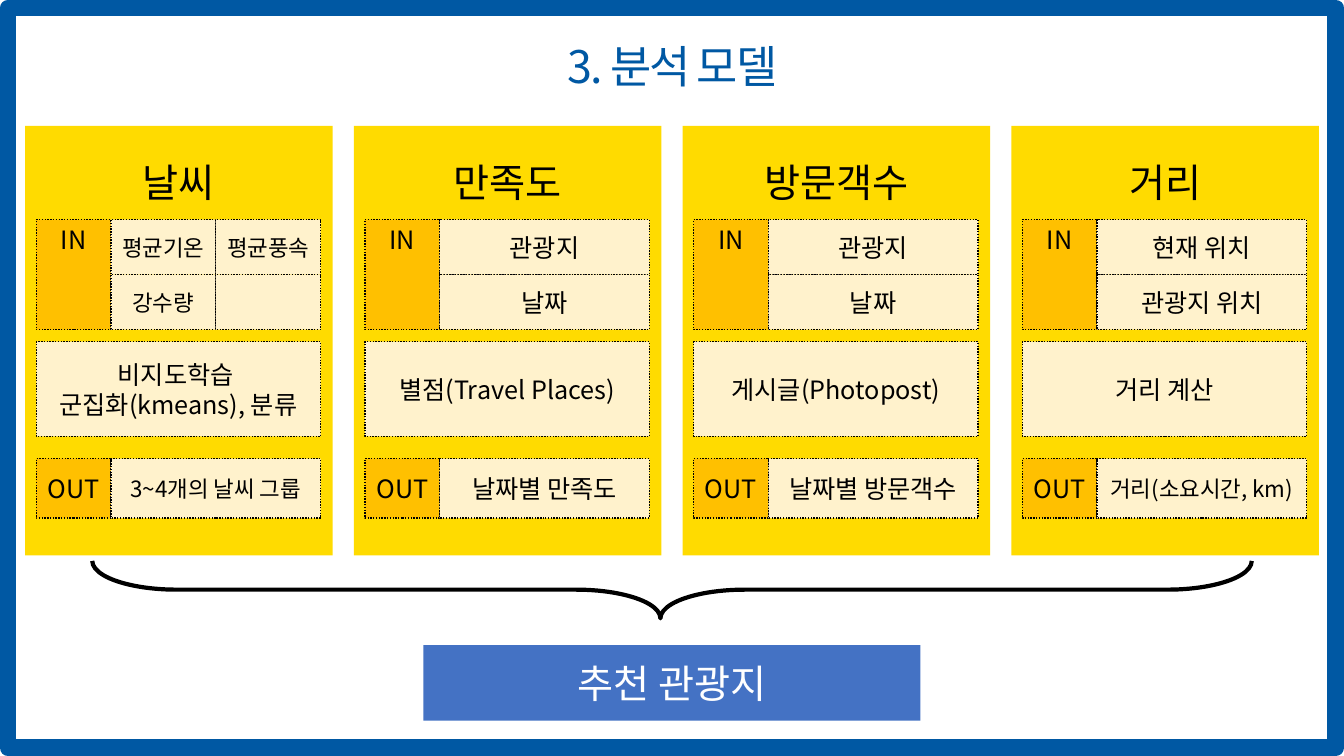
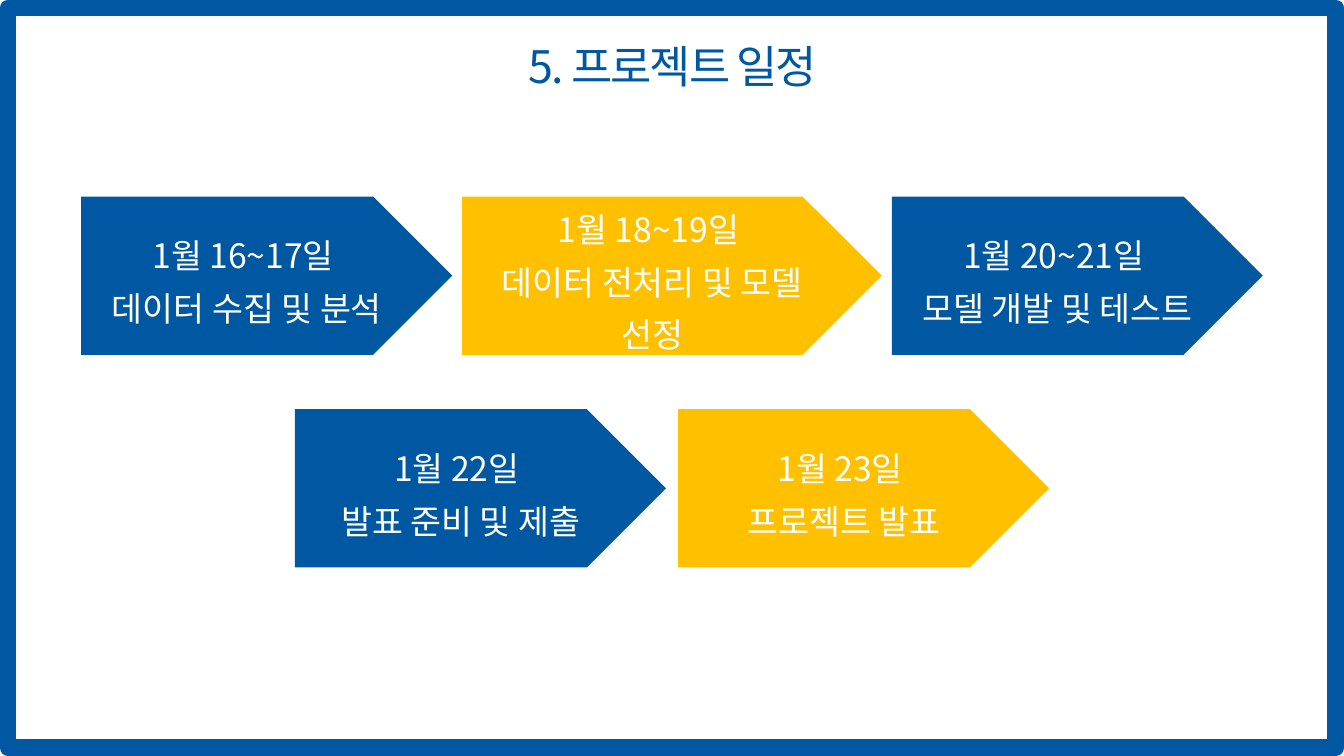
"""Build two slides: the analysis model and the project schedule."""
from lxml import etree
from pptx import Presentation
from pptx import util as u
from pptx.dml.color import RGBColor
from pptx.enum import dml, shapes, text
from pptx.oxml.ns import qn

FONT = "Noto Sans CJK KR"
BLUE = RGBColor(0x00, 0x58, 0xA3)
STEEL = RGBColor(0x44, 0x72, 0xC4)
YELLOW = RGBColor(0xFF, 0xDB, 0x00)
AMBER = RGBColor(0xFF, 0xC0, 0x00)
CREAM = RGBColor(0xFF, 0xF2, 0xCC)
BLACK = RGBColor(0x00, 0x00, 0x00)
WHITE = RGBColor(0xFF, 0xFF, 0xFF)
SHAPE = shapes.MSO_SHAPE
WIDTH, HEIGHT = 13.33, 7.5

MODELS = [
    {"name": "날씨", "inputs": [["평균기온", "평균풍속"], ["강수량", ""]], "input_size": 16,
     "method": ["비지도학습 ", "군집화(kmeans), 분류"],
     "output": "3~4개의 날씨 그룹", "output_size": 16},
    {"name": "만족도", "inputs": [["관광지"], ["날짜"]], "input_size": 18,
     "method": ["별점(Travel Places)"],
     "output": "날짜별 만족도", "output_size": 18},
    {"name": "방문객수", "inputs": [["관광지"], ["날짜"]], "input_size": 18,
     "method": ["게시글(Photopost)"],
     "output": "날짜별 방문객수", "output_size": 18},
    {"name": "거리", "inputs": [["현재 위치"], ["관광지 위치"]], "input_size": 18,
     "method": ["거리 계산"],
     "output": "거리(소요시간, km)", "output_size": 16},
]
SCHEDULE = [
    {"top": 1.95, "gap": 0.1, "steps": [
        (3.68, BLUE, ["1월 16~17일 ", "데이터 수집 및 분석"]),
        (4.16, AMBER, ["1월 18~19일 ", "데이터 전처리 및 모델 선정"]),
        (3.68, BLUE, ["1월 20~21일 ", "모델 개발 및 테스트"])]},
    {"top": 4.06, "gap": 0.12, "steps": [
        (3.68, BLUE, ["1월 22일 ", "발표 준비 및 제출"]),
        (3.68, AMBER, ["1월 23일 ", "프로젝트 발표"])]},
]


def write(shape, lines, size=18, color=BLACK, spacing=None, tracking=None,
          anchor=text.MSO_ANCHOR.MIDDLE):
    """Fill a shape with centred paragraphs."""
    frame = shape.text_frame
    frame.word_wrap = True
    frame.vertical_anchor = anchor
    for index, line in enumerate(lines):
        para = frame.add_paragraph() if index else frame.paragraphs[0]
        para.alignment = text.PP_ALIGN.CENTER
        para.line_spacing = spacing
        span = para.add_run()
        span.text = line
        span.font.name = FONT
        span.font.size = u.Pt(size)
        span.font.color.rgb = color
        props = span.font._element
        etree.SubElement(props, qn("a:ea")).set("typeface", FONT)
        if tracking is not None:
            props.set("spc", str(int(tracking * 100)))


def add_box(slide, left, top, width, height, kind=SHAPE.RECTANGLE, fill=None,
            line=None, weight=1, dash=None, lines=(), **style):
    """Add a preset shape, measured in inches, with optional text."""
    box = slide.shapes.add_shape(kind, *map(u.Inches, (left, top, width, height)))
    box.shadow.inherit = False
    if fill is None:
        box.fill.background()
    else:
        box.fill.solid()
        box.fill.fore_color.rgb = fill
    if line is None:
        box.line.fill.background()
    else:
        box.line.color.rgb = line
        box.line.width = u.Pt(weight)
        box.line.dash_style = dash
    write(box, lines, **style)
    return box


def add_cell(slide, left, top, width, height, lines, fill=CREAM, **style):
    """Add a box with a dotted outline."""
    return add_box(slide, left, top, width, height, fill=fill, line=BLACK,
                   dash=dml.MSO_LINE.ROUND_DOT, lines=lines, **style)


def add_frame(slide):
    """Put the blue border on the layout that the slides share."""
    inset = 0.08
    frame = add_box(slide, inset, inset, WIDTH - 2 * inset, HEIGHT - 2 * inset,
                    line=BLUE, weight=12)
    slide.slide_layout.shapes.element.insert(2, frame.element)


def add_page(deck, title):
    """Add a slide with the shared title style."""
    page = deck.slides.add_slide(deck.slide_layouts[5])
    head = page.shapes.title
    head.left, head.top, head.width, head.height = map(u.Inches, (0.92, 0.39, 11.5, 0.59))
    write(head, [title], size=32, color=BLUE, spacing=0.9, tracking=-1.5)
    return page


def add_model(page, left, model):
    """Draw one model card with its inputs, method and output."""
    label_width, value_width, row_height = 0.74, 2.08, 0.545
    label_left = left + 0.11
    value_left = label_left + label_width
    in_top, method_top, out_top = 2.18, 3.39, 4.55

    add_box(page, left, 1.25, 3.05, 4.26, fill=YELLOW)
    name = page.shapes.add_textbox(*map(u.Inches, (left, 1.52, 3.05, 0.57)))
    write(name, [model["name"]], size=28)
    add_cell(page, label_left, in_top, label_width, 2 * row_height, ["IN"],
             fill=AMBER, anchor=text.MSO_ANCHOR.TOP)
    for row, entries in enumerate(model["inputs"]):
        cell_width = value_width / len(entries)
        for column, entry in enumerate(entries):
            add_cell(page, value_left + column * cell_width, in_top + row * row_height,
                     cell_width, row_height, [entry] if entry else [],
                     size=model["input_size"])
    add_cell(page, label_left, method_top, label_width + value_width, 0.94, model["method"])
    add_cell(page, label_left, out_top, label_width, 0.59, ["OUT"], fill=AMBER)
    add_cell(page, value_left, out_top, value_width, 0.59, [model["output"]],
             size=model["output_size"])


def build_models(page):
    """Draw the four cards that lead to the recommendation."""
    for index, model in enumerate(MODELS):
        add_model(page, 0.25 + index * 3.26, model)
    brace = add_box(page, 6.38, 0.1, 0.57, 11.5, kind=SHAPE.RIGHT_BRACE,
                    line=BLACK, weight=3)
    brace.rotation = 90
    brace.adjustments[0] = 1.47
    brace.adjustments[1] = 0.51
    add_box(page, 4.2, 6.4, 4.93, 0.75, fill=STEEL, lines=["추천 관광지"],
            size=28, color=WHITE)


def build_schedule(page):
    """Draw each row of steps centred on the slide."""
    for row in SCHEDULE:
        steps, gap = row["steps"], row["gap"]
        total = sum(width for width, _, _ in steps) + gap * (len(steps) - 1)
        left = (WIDTH - total) / 2
        for width, fill, lines in steps:
            add_box(page, left, row["top"], width, 1.57, kind=SHAPE.PENTAGON, fill=fill,
                    lines=lines, size=24, color=WHITE, spacing=1.3)
            left += width + gap


def main():
    """Build and save the deck."""
    deck = Presentation()
    deck.slide_width, deck.slide_height = u.Inches(WIDTH), u.Inches(HEIGHT)
    models = add_page(deck, "3. 분석 모델")
    add_frame(models)
    build_models(models)
    build_schedule(add_page(deck, "5. 프로젝트 일정"))
    deck.save("out.pptx")


if __name__ == "__main__":
    main()
